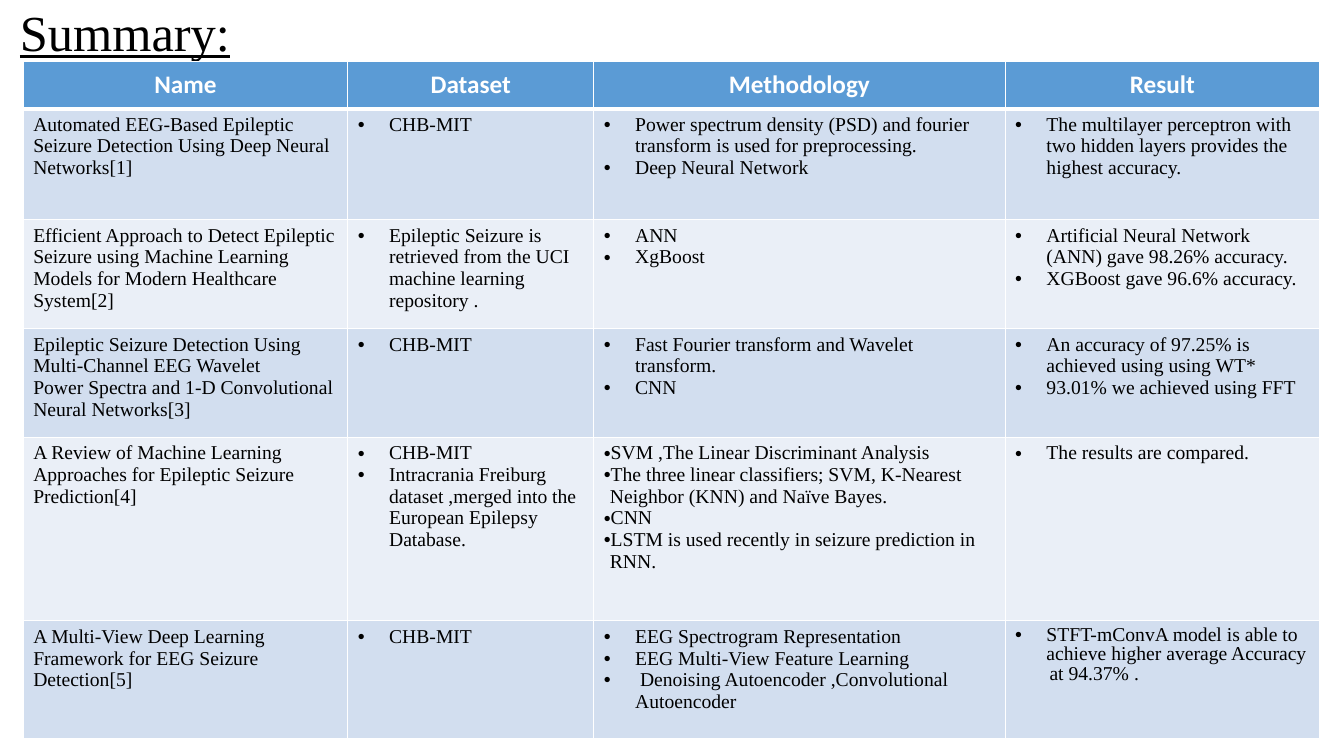
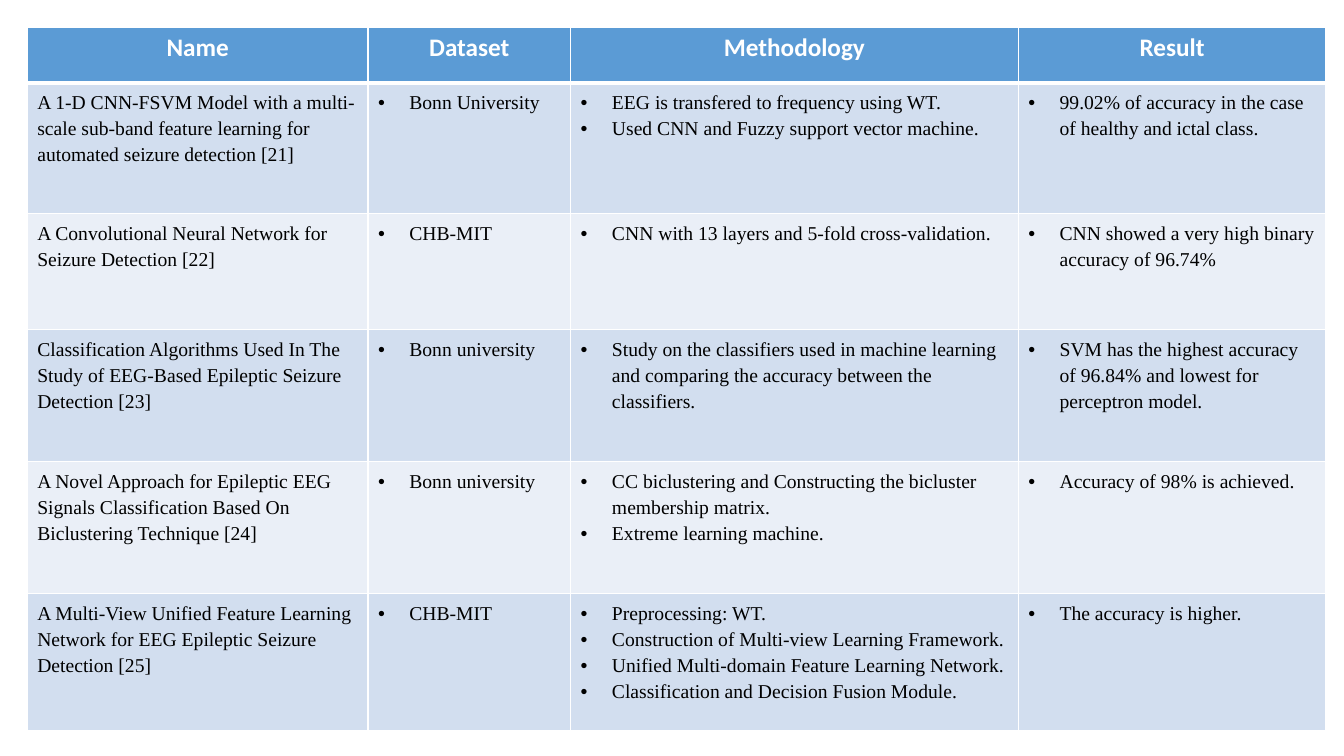
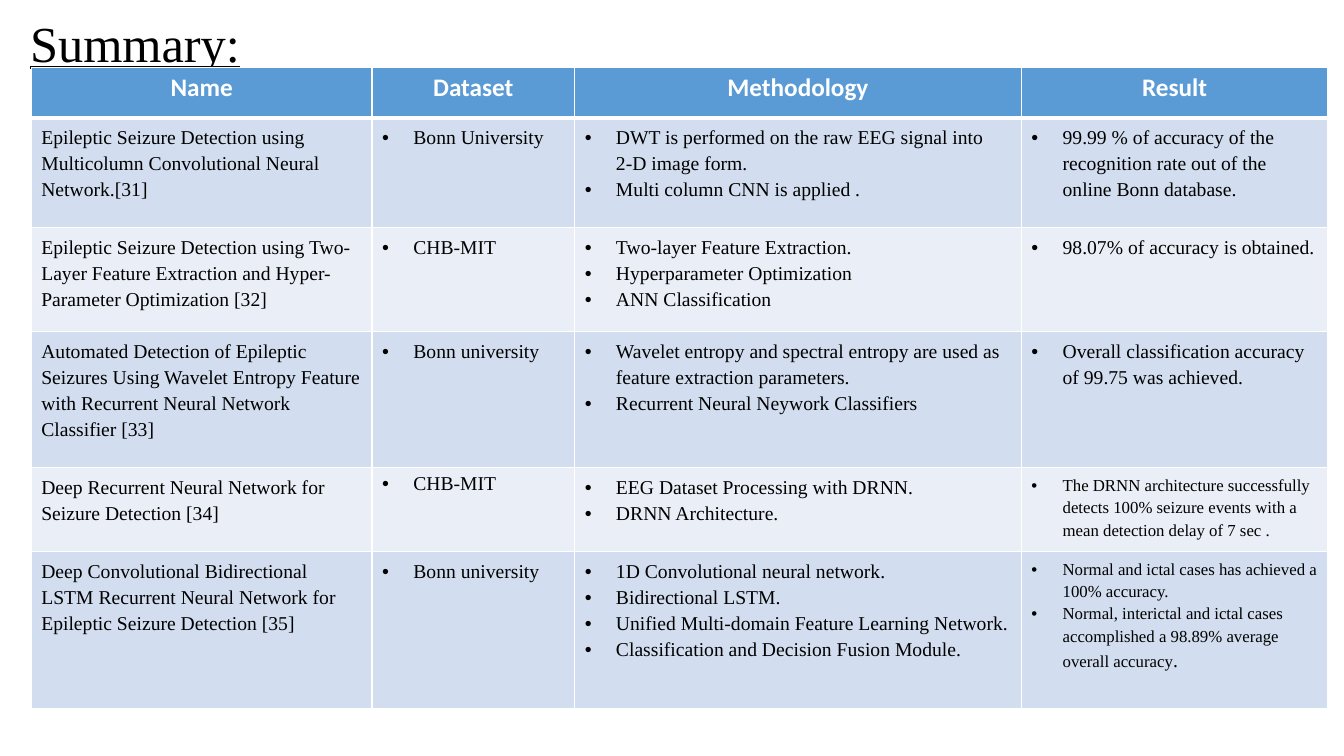
from dataclasses import dataclass

from lxml import etree
from pptx import Presentation
from pptx.dml.color import RGBColor
from pptx.enum.text import MSO_ANCHOR, PP_ALIGN
from pptx.oxml.ns import qn
from pptx.util import Inches, Pt

CENTER, LEFT = PP_ALIGN.CENTER, PP_ALIGN.LEFT
MIDDLE, TOP = MSO_ANCHOR.MIDDLE, MSO_ANCHOR.TOP


class Theme:
    heading_fill = RGBColor.from_string("5B9BD5")
    band_fills = (RGBColor.from_string("D2DEEF"), RGBColor.from_string("EAEFF7"))
    ink = RGBColor.from_string("000000")
    white = RGBColor.from_string("FFFFFF")
    border = "FFFFFF"
    heading_font, body_font, bullet_font = "Calibri", "Times New Roman", "Arial"
    title_size, heading_size, body_size, small_size = 36, 18, 14, 12
    thin, thick = 1, 3
    indent = 0.31


@dataclass
class Item:
    """A table paragraph that departs from the usual bullet."""
    text: str
    size: int = Theme.body_size
    spacing: float = 0
    margin: float = Theme.indent
    bullet: bool = True
    tail: str = ""


HEADINGS = ("Name", "Dataset", "Methodology", "Result")

# Content: each row holds a paper name and three lists of bullets
SLIDES = [
    {
        "title_at": (0.1, -0.21), "table_at": (0.23, 0.61),
        "columns": (3.22, 2.44, 4.08, 3.12),
        "heights": (0.47, 1.1, 1.08, 1.08, 1.82, 1.17),
        "spacing": 1.0, "heading_anchor": MIDDLE,
        "rows": [
            ("Automated EEG-Based Epileptic Seizure Detection Using Deep Neural Networks[1]",
             ["CHB-MIT"],
             ["Power spectrum density (PSD) and fourier transform is used for preprocessing.",
              "Deep Neural Network"],
             ["The multilayer perceptron with two hidden layers provides the highest accuracy."]),
            ("Efficient Approach to Detect Epileptic Seizure using Machine Learning Models "
             "for Modern Healthcare System[2]",
             ["Epileptic Seizure is retrieved from the UCI machine learning repository ."],
             ["ANN", "XgBoost"],
             ["Artificial Neural Network (ANN) gave 98.26% accuracy.",
              "XGBoost gave 96.6% accuracy."]),
            ("Epileptic Seizure Detection Using Multi-Channel EEG Wavelet\v"
             "Power Spectra and 1-D Convolutional Neural Networks[3]",
             ["CHB-MIT"],
             ["Fast Fourier transform and Wavelet transform.", "CNN"],
             ["An accuracy of 97.25% is achieved using using WT*",
              "93.01% we achieved using FFT"]),
            ("A Review of Machine Learning Approaches for Epileptic Seizure Prediction[4]",
             ["CHB-MIT",
              "Intracrania Freiburg dataset ,merged into the European Epilepsy Database."],
             [Item("SVM ,The Linear Discriminant Analysis", margin=0.06),
              Item("The three linear classifiers; SVM, K-Nearest Neighbor (KNN) "
                   "and Naïve Bayes.", margin=0.06),
              Item("CNN", margin=0.06),
              Item("LSTM is used recently in seizure prediction in RNN.", margin=0.06)],
             ["The results are compared."]),
            ("A Multi-View Deep Learning Framework for EEG Seizure Detection[5]",
             ["CHB-MIT"],
             ["EEG Spectrogram Representation", "EEG Multi-View Feature Learning",
              " Denoising Autoencoder ,Convolutional Autoencoder"],
             [Item("STFT-mConvA model is able to achieve higher average Accuracy", spacing=0.9),
              Item("at 94.37% .", spacing=0.9, margin=0.34, bullet=False)]),
        ],
    },
    {
        "title_at": None, "table_at": (0.27, 0.27),
        "columns": (3.38, 2.01, 4.44, 3.05),
        "heights": (0.55, 1.3, 1.15, 1.31, 1.31, 1.36),
        "spacing": 1.2, "heading_anchor": TOP,
        "rows": [
            ("A 1-D CNN-FSVM Model with a multi-scale sub-band feature learning "
             "for automated seizure detection [21]",
             ["Bonn University"],
             ["EEG is transfered to frequency using WT.",
              "Used CNN and Fuzzy support vector machine."],
             ["99.02% of accuracy in the case of healthy and ictal class."]),
            ("A Convolutional Neural Network for Seizure Detection [22]",
             ["CHB-MIT"],
             ["CNN with 13 layers and 5-fold cross-validation."],
             ["CNN showed a very high binary accuracy of 96.74%"]),
            ("Classification Algorithms Used In The Study of EEG-Based Epileptic "
             "Seizure Detection [23]",
             ["Bonn university"],
             ["Study on the classifiers used in machine learning and comparing the "
              "accuracy between the classifiers."],
             ["SVM has the highest accuracy of 96.84% and lowest for perceptron model."]),
            ("A Novel Approach for Epileptic EEG Signals Classification Based On "
             "Biclustering Technique [24]",
             ["Bonn university"],
             ["CC biclustering and Constructing the bicluster membership matrix.",
              "Extreme learning machine."],
             ["Accuracy of 98% is achieved."]),
            ("A Multi-View Unified Feature Learning Network for EEG Epileptic "
             "Seizure Detection [25]",
             ["CHB-MIT"],
             ["Preprocessing: WT.", "Construction of Multi-view Learning Framework.",
              "Unified Multi-domain Feature Learning Network.",
              "Classification and Decision Fusion Module."],
             ["The accuracy is higher."]),
        ],
    },
    {
        "title_at": (0.2, -0.1), "table_at": (0.31, 0.67),
        "columns": (3.38, 2.01, 4.43, 3.04),
        "heights": (0.5, 1.09, 1.03, 1.35, 0.83, 1.56),
        "spacing": 1.2, "heading_anchor": TOP,
        "rows": [
            ("Epileptic Seizure Detection using Multicolumn Convolutional Neural Network.[31]",
             ["Bonn University"],
             ["DWT is performed on the raw EEG signal into\v2-D image form.",
              "Multi column CNN is applied ."],
             ["99.99 % of accuracy of the recognition rate out of the online Bonn database."]),
            ("Epileptic Seizure Detection using Two-Layer Feature Extraction and "
             "Hyper-Parameter Optimization [32]",
             ["CHB-MIT"],
             ["Two-layer Feature Extraction.", "Hyperparameter Optimization",
              "ANN Classification"],
             ["98.07% of accuracy is obtained."]),
            ("Automated Detection of Epileptic Seizures Using Wavelet Entropy Feature "
             "with Recurrent Neural Network Classifier [33]",
             ["Bonn university"],
             ["Wavelet entropy and spectral entropy are used as feature extraction parameters.",
              "Recurrent Neural Neywork Classifiers"],
             ["Overall classification accuracy of 99.75 was achieved."]),
            ("Deep Recurrent Neural Network for Seizure Detection [34]",
             [Item("CHB-MIT", spacing=1.0)],
             ["EEG Dataset Processing with DRNN.", "DRNN Architecture."],
             [Item("The DRNN architecture successfully detects 100% seizure events with "
                   "a mean detection delay of 7 sec .", size=Theme.small_size)]),
            ("Deep Convolutional Bidirectional LSTM Recurrent Neural Network for "
             "Epileptic Seizure Detection [35]",
             ["Bonn university"],
             ["1D Convolutional neural network.", "Bidirectional LSTM.",
              "Unified Multi-domain Feature Learning Network.",
              "Classification and Decision Fusion Module."],
             [Item("Normal and ictal cases has achieved a 100% accuracy.",
                   size=Theme.small_size),
              Item("Normal, interictal and ictal cases accomplished a 98.89% average "
                   "overall accuracy", size=Theme.small_size, tail=".")]),
        ],
    },
]


def format_runs(paragraph, font_name, size, color, bold=False, underline=False):
    for run in paragraph.runs:
        run.font.name = font_name
        run.font.size = Pt(size)
        run.font.color.rgb = color
        run.font.bold = bold
        run.font.underline = underline


def style_cell(cell, fill, top, bottom):
    properties = cell._tc.get_or_add_tcPr()
    edges = (("a:lnL", Theme.thin), ("a:lnR", Theme.thin), ("a:lnT", top), ("a:lnB", bottom))
    for tag, width in edges:
        line = etree.SubElement(properties, qn(tag), w=str(Pt(width)))
        solid = etree.SubElement(line, qn("a:solidFill"))
        etree.SubElement(solid, qn("a:srgbClr"), val=Theme.border)
    cell.fill.solid()
    cell.fill.fore_color.rgb = fill


presentation = Presentation()
presentation.slide_width = Inches(13.33)
presentation.slide_height = Inches(7.5)
blank_layout = presentation.slide_layouts[6]

for content in SLIDES:
    slide = presentation.slides.add_slide(blank_layout)

    # Title
    if content["title_at"]:
        left, top = content["title_at"]
        title = slide.shapes.add_textbox(Inches(left), Inches(top), Inches(11.5), Inches(1.11))
        title.text_frame.word_wrap = True
        title.text_frame.vertical_anchor = MIDDLE
        title.text_frame.text = "Summary:"
        paragraph = title.text_frame.paragraphs[0]
        paragraph.line_spacing = 0.9
        format_runs(paragraph, Theme.body_font, Theme.title_size, Theme.ink, underline=True)

    # Table grid
    columns, heights = content["columns"], content["heights"]
    left, top = content["table_at"]
    table = slide.shapes.add_table(
        len(heights), len(columns), Inches(left), Inches(top),
        Inches(sum(columns)), Inches(sum(heights))).table
    for column, width in zip(table.columns, columns):
        column.width = Inches(width)
    for row, height in zip(table.rows, heights):
        row.height = Inches(height)

    # Heading row
    for cell, heading in zip(table.rows[0].cells, HEADINGS):
        style_cell(cell, Theme.heading_fill, Theme.thin, Theme.thick)
        cell.vertical_anchor = content["heading_anchor"]
        cell.text_frame.text = heading
        paragraph = cell.text_frame.paragraphs[0]
        paragraph.alignment = CENTER
        format_runs(paragraph, Theme.heading_font, Theme.heading_size, Theme.white, bold=True)

    # Paper rows
    for row_number, (name, *bullet_lists) in enumerate(content["rows"], start=1):
        fill = Theme.band_fills[(row_number - 1) % 2]
        top_width = Theme.thick if row_number == 1 else Theme.thin
        entries = [[Item(name, margin=0, bullet=False)], *bullet_lists]
        for cell, items in zip(table.rows[row_number].cells, entries):
            style_cell(cell, fill, top_width, Theme.thin)
            for index, item in enumerate(items):
                if isinstance(item, str):
                    item = Item(item)
                frame = cell.text_frame
                paragraph = frame.paragraphs[0] if index == 0 else frame.add_paragraph()
                paragraph.text = item.text
                paragraph.alignment = LEFT
                paragraph.line_spacing = item.spacing or content["spacing"]
                properties = paragraph._p.get_or_add_pPr()
                properties.set("marL", str(Inches(item.margin)))
                if item.bullet:
                    properties.set("indent", str(-Inches(Theme.indent)))
                    etree.SubElement(properties, qn("a:buFont"), typeface=Theme.bullet_font)
                    etree.SubElement(properties, qn("a:buChar"), char="•")
                if item.tail:
                    paragraph.add_run().text = item.tail
                format_runs(paragraph, Theme.body_font, item.size, Theme.ink)
                if item.tail:
                    paragraph.runs[-1].font.size = Pt(Theme.body_size)

presentation.save("out.pptx")
